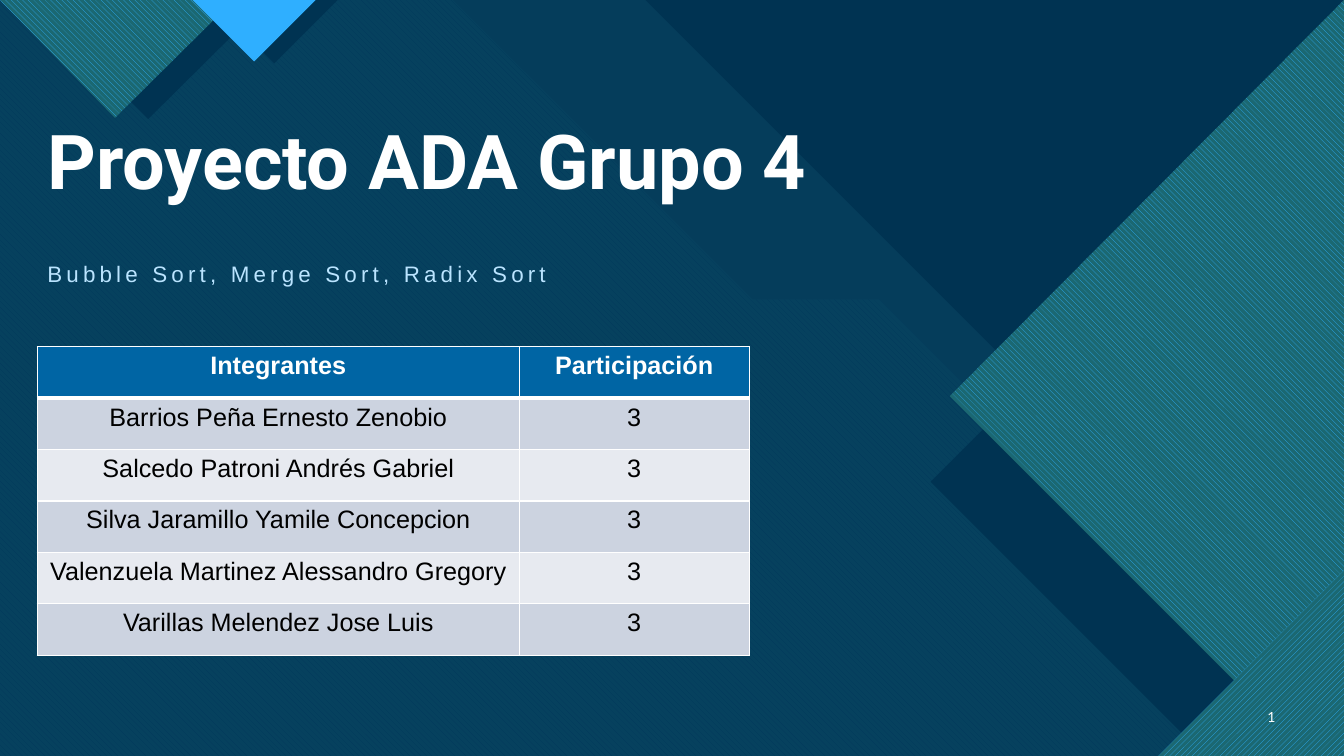
"""Build the title slide of the sorting project with its table of members."""
from lxml import etree
from pptx import Presentation
from pptx.dml.color import RGBColor
from pptx.enum.dml import MSO_PATTERN
from pptx.enum.text import MSO_ANCHOR, MSO_AUTO_SIZE, PP_ALIGN
from pptx.oxml import parse_xml
from pptx.oxml.ns import nsdecls, qn
from pptx.util import Inches, Pt

DOWN_STRIPES = MSO_PATTERN.WIDE_DOWNWARD_DIAGONAL
UP_STRIPES = MSO_PATTERN.WIDE_UPWARD_DIAGONAL
LEFT, CENTER, RIGHT = PP_ALIGN.LEFT, PP_ALIGN.CENTER, PP_ALIGN.RIGHT
TOP, MIDDLE, BOTTOM = MSO_ANCHOR.TOP, MSO_ANCHOR.MIDDLE, MSO_ANCHOR.BOTTOM
NO_AUTOFIT = MSO_AUTO_SIZE.NONE

WHITE = RGBColor(0xFF, 0xFF, 0xFF)
BLACK = RGBColor(0x00, 0x00, 0x00)
BASE = RGBColor(0x0C, 0x43, 0x60)
NAVY = RGBColor(0x00, 0x33, 0x52)
TEAL = RGBColor(0x1B, 0x68, 0x72)
CYAN = RGBColor(0x47, 0xC3, 0xD3)
BLUE = RGBColor(0x00, 0x65, 0xA4)
SKY = RGBColor(0x2F, 0xAF, 0xFF)
PALE_BLUE = RGBColor(0xBA, 0xE4, 0xFF)
BAND_DARK = RGBColor(0xCC, 0xD3, 0xE0)
BAND_LIGHT = RGBColor(0xE7, 0xEA, 0xF0)

PANELS = [
    ([(0, 0), (8.26, 0), (11.23, 2.97), (12.35, 2.97), (13.33, 3.96), (13.33, 7.5), (0, 7.5)],
     CYAN, 74, None, None),
    ([(0, 0), (4.49, 0), (7.46, 2.97), (8.72, 2.97), (13.25, 7.5), (0, 7.5)],
     BLUE, 100, DOWN_STRIPES, CYAN),
    ([(6.4, 0), (13.33, 0), (13.33, 6.93)], NAVY, 100, None, None),
    ([(0, 0), (6.95, 0), (9.92, 2.97), (11.18, 2.97), (13.33, 5.12), (13.33, 7.5), (0, 7.5)],
     NAVY, 90, None, None),
    ([(13.33, 0.68), (13.33, 7.5), (11.95, 7.5), (9.23, 4.78)], NAVY, 100, None, None),
    ([(13.33, 0), (13.33, 7.5), (12.99, 7.5), (9.42, 3.93)], SKY, 100, DOWN_STRIPES, TEAL),
    ([(13.33, 6.14), (13.33, 7.5), (11.97, 7.5)], NAVY, 100, None, None),
    ([(13.33, 5.66), (13.33, 7.5), (11.49, 7.5)], SKY, 100, UP_STRIPES, TEAL),
    ([(0.29, 0), (1.47, 1.18), (2.66, 0)], NAVY, 100, None, None),
    ([(0, 0), (1.14, 1.17), (2.32, 0)], SKY, 100, DOWN_STRIPES, TEAL),
    ([(2.09, 0), (2.72, 0.63), (3.35, 0)], NAVY, 100, None, None),
    ([(1.91, 0), (2.52, 0.61), (3.13, 0)], SKY, 100, None, None),
]
MEMBERS = [
    "Barrios Peña Ernesto Zenobio",
    "Salcedo Patroni Andrés Gabriel",
    "Silva Jaramillo Yamile Concepcion",
    "Valenzuela Martinez Alessandro Gregory",
    "Varillas Melendez Jose Luis",
]


def style_paragraph(para, font_name, size, color, alignment, bold=False):
    para.alignment = alignment
    for span in para.runs:
        span.font.name = font_name
        span.font.size = Pt(size)
        span.font.color.rgb = color
        span.font.bold = bold


def place_text(box, left, top, width, height, anchor):
    box.left, box.top = Inches(left), Inches(top)
    box.width, box.height = Inches(width), Inches(height)
    frame = box.text_frame
    frame.word_wrap = True
    frame.auto_size = NO_AUTOFIT
    frame.vertical_anchor = anchor
    return frame


deck = Presentation()
deck.slide_width, deck.slide_height = Inches(13.33), Inches(7.5)
page = deck.slides.add_slide(deck.slide_layouts[0])
page.background.fill.solid()
page.background.fill.fore_color.rgb = BASE

for corners, color, opacity, pattern, back_color in PANELS:
    points = [(Inches(x), Inches(y)) for x, y in corners]
    builder = page.shapes.build_freeform(*points[0])
    builder.add_line_segments(points[1:])
    panel = builder.convert_to_shape()
    panel.shadow.inherit = False
    panel.line.fill.background()
    if pattern is None:
        panel.fill.solid()
    else:
        panel.fill.patterned()
        panel.fill.pattern = pattern
        panel.fill.back_color.rgb = back_color
    panel.fill.fore_color.rgb = color
    if opacity < 100:
        tint = panel.element.spPr.find(qn("a:solidFill"))[0]
        etree.SubElement(tint, qn("a:alpha")).set("val", str(opacity * 1000))

title, subtitle = page.shapes.title, page.placeholders[1]
for holder in (subtitle, title):
    page.shapes.element.append(holder.element)

subtitle_frame = place_text(subtitle, 0.37, 2.56, 7.44, 0.4, TOP)
subtitle_frame.text = "Bubble Sort, Merge Sort, Radix Sort"
subtitle_para = subtitle_frame.paragraphs[0]
subtitle_para.line_spacing = 0.9
subtitle_para.space_before = Pt(10)
style_paragraph(subtitle_para, "Arial", 16, PALE_BLUE, LEFT)
subtitle_para.runs[0].font._element.set("spc", "300")

title_frame = place_text(title, 0.37, 1.15, 8.51, 0.94, BOTTOM)
title_frame.text = "Proyecto ADA Grupo 4"
title_frame.paragraphs[0].line_spacing = 0.9
style_paragraph(title_frame.paragraphs[0], "Roboto", 54, WHITE, LEFT, bold=True)

number_box = page.shapes.add_textbox(0, 0, 0, 0)
number_frame = place_text(number_box, 12.31, 6.91, 0.44, 0.4, MIDDLE)
number_para = number_frame.paragraphs[0]
number_para.alignment = RIGHT
number_para._p.append(parse_xml(
    f'<a:fld {nsdecls("a")} id="{{B6F15528-21DE-4FAA-801E-634DDDAF4B2B}}" type="slidenum">'
    f'<a:rPr lang="es-ES" sz="1000"><a:solidFill><a:srgbClr val="{WHITE}"/></a:solidFill>'
    '<a:latin typeface="Lato"/></a:rPr><a:t>1</a:t></a:fld>'))

rows = [("Integrantes", "Participación")] + [(member, "3") for member in MEMBERS]
table = page.shapes.add_table(
    len(rows), 2, Inches(0.37), Inches(3.44), Inches(7.06), Inches(0.51 * len(rows))).table
table.columns[0].width, table.columns[1].width = Inches(4.78), Inches(2.28)
for row_index, row in enumerate(rows):
    header = row_index == 0
    band = BLUE if header else BAND_DARK if row_index % 2 else BAND_LIGHT
    border_widths = {
        "lnL": 1,
        "lnR": 1,
        "lnT": 3 if row_index == 1 else 1,
        "lnB": 3 if header else 1,
    }
    for column_index, text in enumerate(row):
        cell = table.cell(row_index, column_index)
        cell.text = text
        style_paragraph(cell.text_frame.paragraphs[0], "Arial", 18,
                        WHITE if header else BLACK, CENTER, bold=header)
        properties = cell._tc.get_or_add_tcPr()
        for side, width in border_widths.items():
            properties.append(parse_xml(
                f'<a:{side} {nsdecls("a")} w="{Pt(width)}"><a:solidFill>'
                f'<a:srgbClr val="{WHITE}"/></a:solidFill></a:{side}>'))
        cell.fill.solid()
        cell.fill.fore_color.rgb = band

deck.save("out.pptx")
